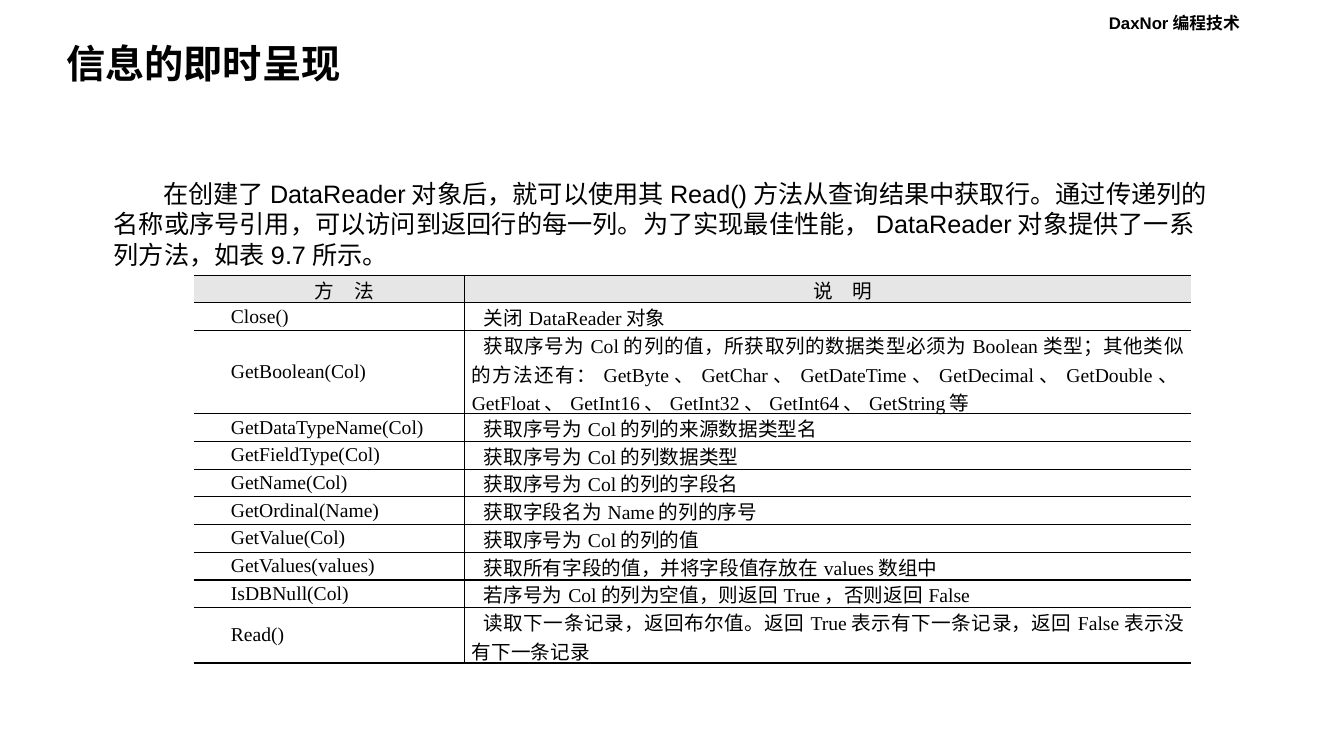
from lxml.etree import SubElement
from pptx import Presentation
from pptx.dml.color import RGBColor
from pptx.enum.text import MSO_ANCHOR, PP_ALIGN
from pptx.oxml.ns import qn
from pptx.util import Inches, Pt

BLACK = RGBColor(0, 0, 0)
GREY = RGBColor(0xE6, 0xE6, 0xE6)
SANS, SERIF = "Arial", "Times New Roman"

COURSE = "DaxNor编程技术"
TITLE = "信息的即时呈现"
INTRO = (
    "在创建了DataReader对象后，就可以使用其Read()方法从查询结果中获取行。"
    "通过传递列的名称或序号引用，可以访问到返回行的每一列。"
    "为了实现最佳性能，DataReader对象提供了一系列方法，如表9.7所示。"
)
METHODS = [
    ("方　法", "说　明"),
    ("Close()", "关闭DataReader对象"),
    ("GetBoolean(Col)",
     "获取序号为Col的列的值，所获取列的数据类型必须为Boolean类型；"
     "其他类似的方法还有：GetByte、GetChar、GetDateTime、GetDecimal、"
     "GetDouble、GetFloat、GetInt16、GetInt32、GetInt64、GetString等"),
    ("GetDataTypeName(Col)", "获取序号为Col的列的来源数据类型名"),
    ("GetFieldType(Col)", "获取序号为Col的列数据类型"),
    ("GetName(Col)", "获取序号为Col的列的字段名"),
    ("GetOrdinal(Name)", "获取字段名为Name的列的序号"),
    ("GetValue(Col)", "获取序号为Col的列的值"),
    ("GetValues(values)", "获取所有字段的值，并将字段值存放在values数组中"),
    ("IsDBNull(Col)", "若序号为Col的列为空值，则返回True，否则返回False"),
    ("Read()",
     "读取下一条记录，返回布尔值。返回True表示有下一条记录，"
     "返回False表示没有下一条记录"),
]
LINES = {2: 3, 10: 2}  # rows whose text takes more than one line
COLS = (2.69, 7.2)
LINE = 0.275


def write(frame, text, size, font, bold=False, indent=0):
    para = frame.paragraphs[0]
    props = para._p.get_or_add_pPr()
    props.set("marL", "0")
    props.set("indent", str(Inches(indent)))
    run = para.add_run()
    run.text = text
    run.font.size = Pt(size)
    run.font.name = font
    run.font.bold = bold
    run.font.color.rgb = BLACK
    return para


def add_text(slide, box, *args, **style):
    frame = slide.shapes.add_textbox(*map(Inches, box)).text_frame
    frame.word_wrap = True
    return frame, write(frame, *args, **style)


def rule(cell, sides):
    """Draw thin black borders on the named sides and clear the others."""
    props = cell._tc.get_or_add_tcPr()
    for spot, side in enumerate("LRTB"):
        line = props.makeelement(qn("a:ln" + side), {"w": str(Pt(1))})
        props.insert(spot, line)
        if side in sides:
            fill = SubElement(line, qn("a:solidFill"))
            SubElement(fill, qn("a:srgbClr"), val=str(BLACK))
        else:
            SubElement(line, qn("a:noFill"))


def add_grid(slide):
    rows = [LINE * LINES.get(row, 1) for row in range(len(METHODS))]
    box = (1.92, 2.73, sum(COLS), sum(rows))
    table = slide.shapes.add_table(
        len(rows), len(COLS), *map(Inches, box)).table
    table.horz_banding = False
    for col, width in zip(table.columns, COLS):
        col.width = Inches(width)
    for row, high in enumerate(rows):
        table.rows[row].height = Inches(high)
        for col, text in enumerate(METHODS[row]):
            cell = table.cell(row, col)
            cell.margin_left = cell.margin_right = Inches(0.07)
            cell.margin_top = cell.margin_bottom = 0
            cell.vertical_anchor = MSO_ANCHOR.MIDDLE
            head = row == 0
            indent = 0.3 if head or col == 0 else 0.12
            para = write(cell.text_frame, text, 14, SERIF, indent=indent)
            para.alignment = PP_ALIGN.CENTER if head else PP_ALIGN.JUSTIFY
            if head:
                cell.fill.solid()
                cell.fill.fore_color.rgb = GREY
            else:
                cell.fill.background()
            rule(cell, "LTB" if col else "RTB")


def main():
    deck = Presentation()
    deck.slide_width, deck.slide_height = Inches(13.33), Inches(7.5)
    slide = deck.slides.add_slide(deck.slide_layouts[6])
    add_text(slide, (10.9, 0.08, 2.44, 0.3), COURSE, 12, SANS, bold=True)
    frame, title = add_text(
        slide, (0.56, 0.39, 6.99, 0.52), TITLE, 28, SANS, bold=True)
    frame.vertical_anchor = MSO_ANCHOR.MIDDLE
    title.line_spacing = 0.9
    add_text(slide, (1.03, 1.72, 11.1, 1.01), INTRO, 18, SANS, indent=0.49)
    add_grid(slide)
    deck.save("out.pptx")


if __name__ == "__main__":
    main()
